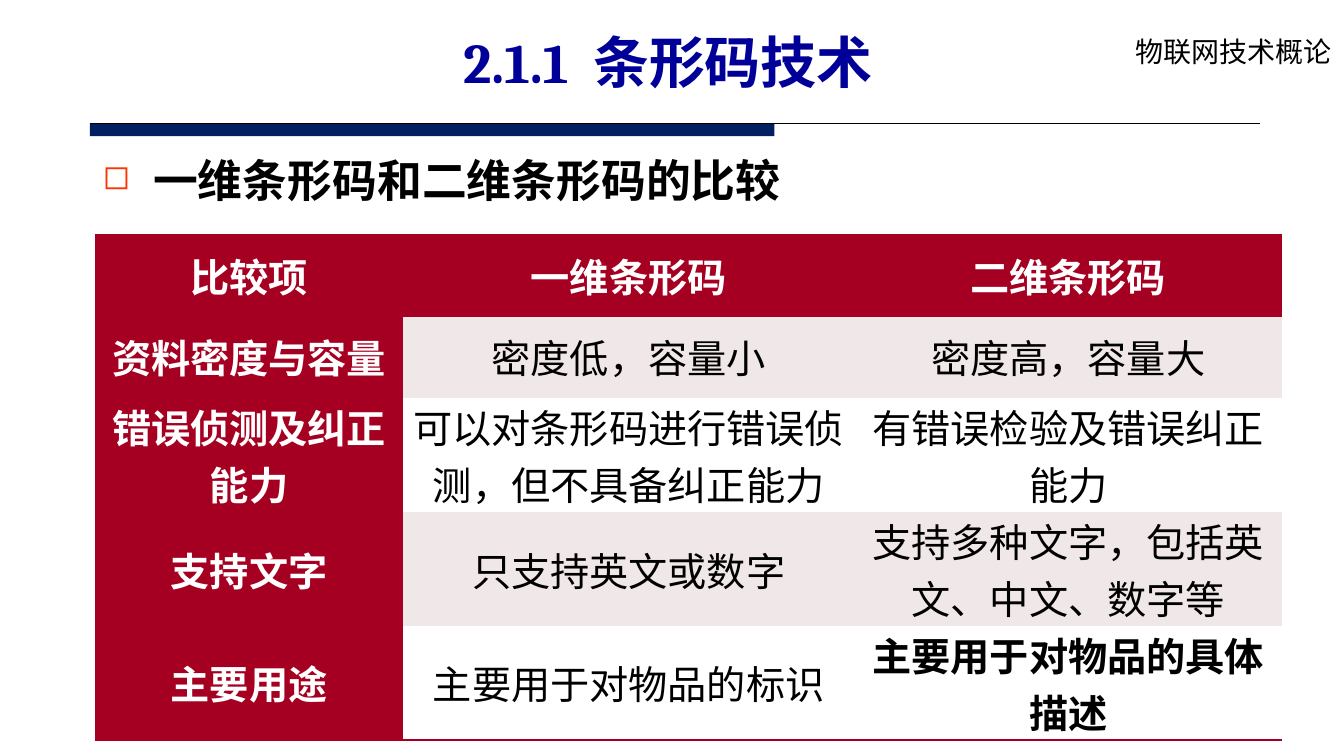
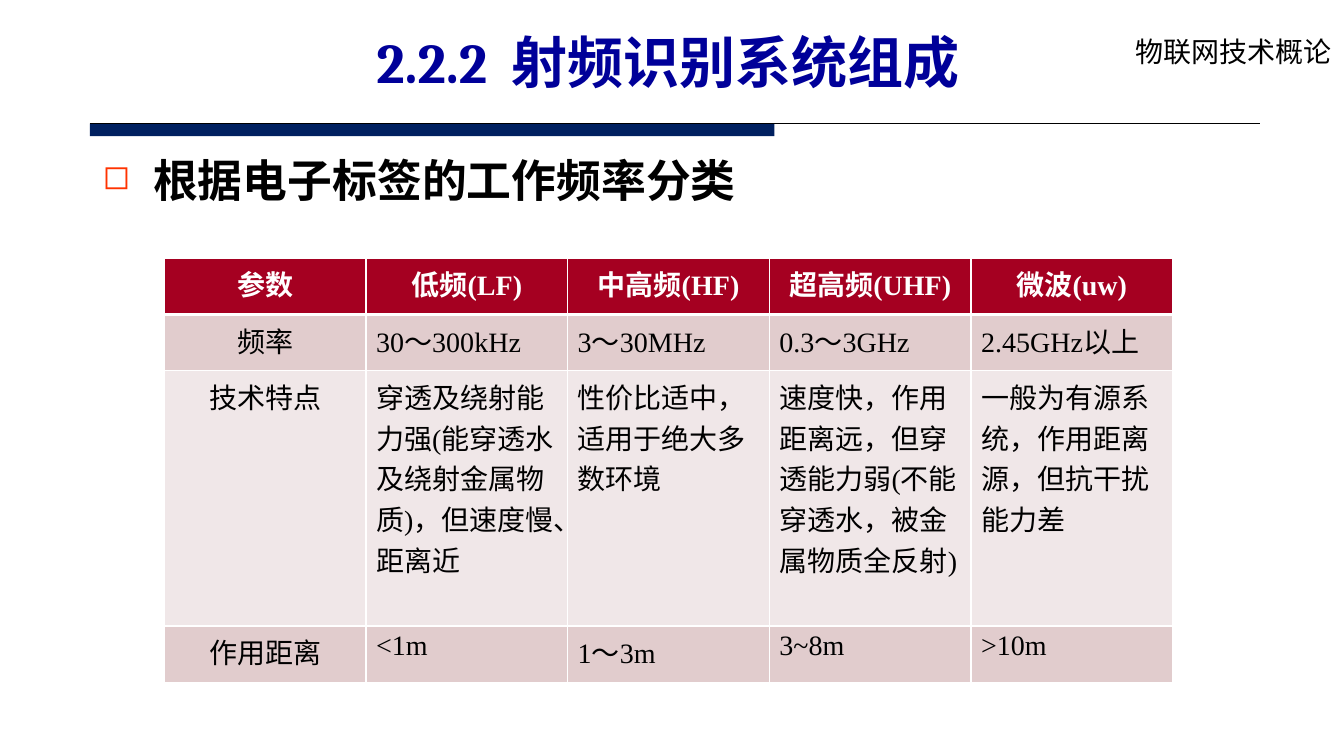
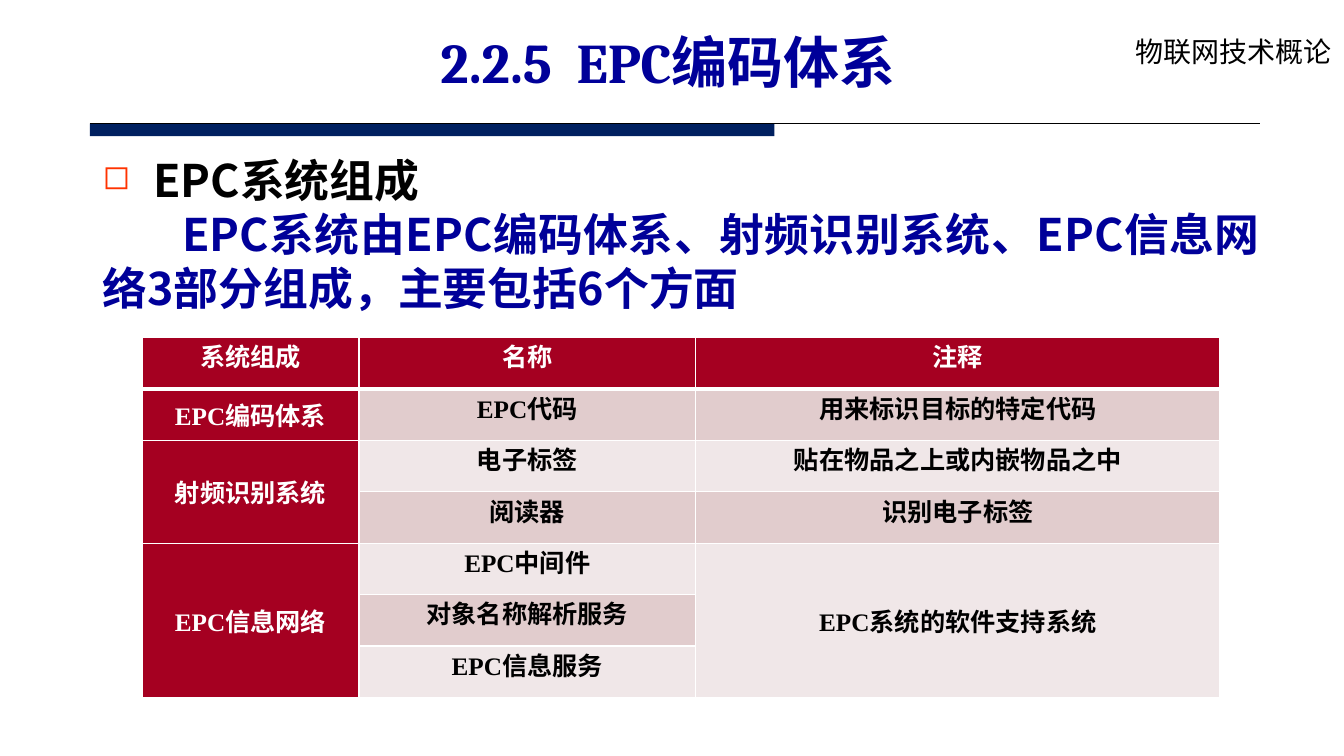
from dataclasses import dataclass

from lxml import etree
from pptx import Presentation
from pptx import util as u
from pptx.dml.color import RGBColor
from pptx.enum import lang, shapes, text
from pptx.oxml import ns

PX = 9144  # 100 px to the inch
COLORS = {
    "title": "000099", "bar": "002060", "ink": "000000", "white": "FFFFFF",
    "bullet": "FF3300", "crimson": "A50021", "rose": "E1CCCD", "pale": "F0E7E8",
}
CJK, SERIF, TITLE_FONT, COURSE_FONT = (
    "Noto Sans CJK SC", "Times New Roman", "Cambria", "Noto Sans CJK JP")
NO_GRID_STYLE = "{2D5ABB26-0587-4C30-8999-92F81FD0307C}"
CENTER, LEFT = text.PP_ALIGN.CENTER, text.PP_ALIGN.LEFT
MIDDLE, TOP = text.MSO_ANCHOR.MIDDLE, text.MSO_ANCHOR.TOP


@dataclass
class TableLook:
    size: int
    bands: tuple
    insets: tuple = (7, 0)
    key_column: bool = True     # first column coloured like the header
    bold_body: bool = False
    bold_cells: tuple = ()
    body_align: text.PP_ALIGN = CENTER
    anchor: text.MSO_ANCHOR = TOP
    grid: bool = True           # white grid, or crimson rules above and below


# ---- helpers ----
def px(n):
    return u.Emu(n * PX)


def rgb(name):
    return RGBColor.from_string(COLORS[name])


def sub(parent, tag, **attrs):
    return etree.SubElement(parent, ns.qn(tag), attrs)


def add_run(paragraph, words, size, color, latin=CJK, east=CJK, bold=False):
    run = paragraph.add_run()
    run.text = words
    font = run.font
    font.size, font.bold, font.name = u.Pt(size), bold, latin
    font.color.rgb = rgb(color)
    font.language_id = lang.MSO_LANGUAGE_ID.SIMPLIFIED_CHINESE
    sub(font._element, "a:ea", typeface=east)


def add_textbox(slide, x, y, w, h):
    frame = slide.shapes.add_textbox(px(x), px(y), px(w), px(h)).text_frame
    frame.word_wrap = True
    return frame


# ---- parts every slide has ----
def add_frame(slide):
    bar = slide.shapes.add_shape(
        shapes.MSO_SHAPE.RECTANGLE, px(89), px(123), px(679), px(12))
    bar.shadow.inherit = False
    bar.fill.solid()
    bar.fill.fore_color.rgb = rgb("bar")
    bar.line.fill.background()

    rule = slide.shapes.add_connector(
        shapes.MSO_CONNECTOR.STRAIGHT, px(89), px(123), px(1250), px(123))
    rule.line.color.rgb = rgb("ink")
    rule.line.width = u.Pt(0.75)
    sub(rule._element.spPr, "a:effectLst")

    course = add_textbox(slide, 1097, 29, 236, 47)
    course.word_wrap = False
    course.margin_left = px(29)
    add_run(course.paragraphs[0], "物联网技术概论", 20, "ink", COURSE_FONT, COURSE_FONT)


def add_title(slide, words):
    title = slide.shapes.title
    title.left, title.top, title.width, title.height = map(px, (186, 36, 953, 71))
    frame = title.text_frame
    frame.word_wrap, frame.auto_size = True, text.MSO_AUTO_SIZE.NONE
    frame.vertical_anchor = MIDDLE
    frame.margin_bottom = px(13)
    heading = frame.paragraphs[0]
    heading.alignment, heading.line_spacing = CENTER, u.Pt(38)
    add_run(heading, words, 40, "title", TITLE_FONT, bold=True)


def add_topic(slide, words, detail=None):
    frame = add_textbox(slide, 92, 147, 1167, 180 if detail else 72)
    topic = frame.paragraphs[0]
    props = topic._p.get_or_add_pPr()
    props.set("marL", str(px(50)))
    props.set("indent", str(px(-50)))
    sub(sub(props, "a:buClr"), "a:srgbClr", val=COLORS["bullet"])
    sub(props, "a:buSzPct", val="75000")
    sub(props, "a:buChar", char="◻")
    add_run(topic, words, 32, "ink", bold=True)
    if detail:
        body = frame.add_paragraph()
        body.alignment = text.PP_ALIGN.JUSTIFY
        body._p.get_or_add_pPr().set("indent", str(px(79)))
        add_run(body, detail, 32, "title", bold=True)


def start_slide(prs, title, topic, detail=None):
    slide = prs.slides.add_slide(prs.slide_layouts[5])
    add_frame(slide)
    add_topic(slide, topic, detail)
    add_title(slide, title)
    return slide


# ---- tables ----
def set_borders(cell, edges):
    props = cell._tc.get_or_add_tcPr()
    for side in "LRTB":
        if side in edges:
            color, points = edges[side]
            line = sub(props, f"a:ln{side}", w=str(u.Pt(points)))
            sub(sub(line, "a:solidFill"), "a:srgbClr", val=COLORS[color])


def cell_edges(look, row, last_row):
    if look.grid:
        edges = {side: ("white", 1) for side in "LRTB"}
        if row == 0:
            edges["B"] = ("white", 3)
        elif row == 1:
            edges["T"] = ("white", 3)
        return edges
    edges = {}
    if row == 0:
        edges = {"T": ("crimson", 2), "B": ("crimson", 2)}
    elif row == last_row:
        edges = {"B": ("crimson", 2)}
    return edges


def add_table(slide, x, y, widths, heights, rows, look):
    """A None in rows joins that cell to the one above it."""
    table = slide.shapes.add_table(
        len(rows), len(widths), px(x), px(y), px(sum(widths)), px(sum(heights))).table
    props = table._tbl.tblPr
    props.find(ns.qn("a:tableStyleId")).text = NO_GRID_STYLE
    table.first_row = table.horz_banding = False
    for column, width in zip(table.columns, widths):
        column.width = px(width)
    for table_row, height in zip(table.rows, heights):
        table_row.height = px(height)

    for r, row in enumerate(rows):
        for c, words in enumerate(row):
            cell = table.cell(r, c)
            header = r == 0 or (look.key_column and c == 0)
            set_borders(cell, cell_edges(look, r, len(rows) - 1))
            cell.fill.solid()
            cell.fill.fore_color.rgb = rgb(
                "crimson" if header else look.bands[(r - 1) % len(look.bands)])
            cell.margin_left = cell.margin_right = px(look.insets[0])
            cell.margin_top = cell.margin_bottom = px(look.insets[1])
            if words is None:
                continue
            end = r
            while end + 1 < len(rows) and rows[end + 1][c] is None:
                end += 1
            if end > r:
                cell.merge(table.cell(end, c))
            key = look.key_column and c == 0 and r > 0
            cell.vertical_anchor = MIDDLE if key or end > r else look.anchor
            paragraph = cell.text_frame.paragraphs[0]
            paragraph.alignment = CENTER if r == 0 or c == 0 else look.body_align
            bold = header or look.bold_body or (r, c) in look.bold_cells
            add_run(paragraph, words, look.size, "white" if header else "ink",
                    SERIF, bold=bold)


# ---- slides ----
def barcode_slide(prs):
    slide = start_slide(prs, "2.1.1  条形码技术", "一维条形码和二维条形码的比较")
    rows = [
        ("比较项", "一维条形码", "二维条形码"),
        ("资料密度与容量", "密度低，容量小", "密度高，容量大"),
        ("错误侦测及纠正能力", "可以对条形码进行错误侦测，但不具备纠正能力",
         "有错误检验及错误纠正能力"),
        ("支持文字", "只支持英文或数字", "支持多种文字，包括英文、中文、数字等"),
        ("主要用途", "主要用于对物品的标识", "主要用于对物品的具体描述"),
    ]
    look = TableLook(28, ("pale", "white"), anchor=MIDDLE, grid=False,
                     bold_cells=((4, 2),))
    add_table(slide, 94, 233, (306, 447, 425), (80, 82) + (113,) * 3, rows, look)


def frequency_slide(prs):
    slide = start_slide(prs, "2.2.2  射频识别系统组成", "根据电子标签的工作频率分类")
    rows = [
        ("参数", "低频(LF)", "中高频(HF)", "超高频(UHF)", "微波(uw)"),
        ("频率", "30～300kHz", "3～30MHz", "0.3～3GHz", "2.45GHz以上"),
        ("技术特点",
         "穿透及绕射能力强(能穿透水及绕射金属物质)，但速度慢、距离近",
         "性价比适中，适用于绝大多数环境",
         "速度快，作用距离远，但穿透能力弱(不能穿透水，被金属物质全反射)",
         "一般为有源系统，作用距离源，但抗干扰能力差"),
        ("作用距离", "<1m", "1～3m", "3~8m", ">10m"),
    ]
    look = TableLook(20, ("rose", "pale"), insets=(10, 5), key_column=False,
                     body_align=LEFT)
    add_table(slide, 163, 256, (200,) * 5, (56, 56, 253, 56), rows, look)


def epc_slide(prs):
    slide = start_slide(
        prs, "2.2.5  EPC编码体系", "EPC系统组成",
        "EPC系统由EPC编码体系、射频识别系统、EPC信息网络3部分组成，主要包括6个方面")
    rows = [
        ("系统组成", "名称", "注释"),
        ("EPC编码体系", "EPC代码", "用来标识目标的特定代码"),
        ("射频识别系统", "电子标签", "贴在物品之上或内嵌物品之中"),
        (None, "阅读器", "识别电子标签"),
        ("EPC信息网络", "EPC中间件", "EPC系统的软件支持系统"),
        (None, "对象名称解析服务", None),
        (None, "EPC信息服务", None),
    ]
    look = TableLook(18, ("rose", "pale"), bold_body=True)
    add_table(slide, 141, 335, (215, 334, 520), (51,) * 7, rows, look)


def main():
    prs = Presentation()
    prs.slide_width, prs.slide_height = px(1333), px(750)
    barcode_slide(prs)
    frequency_slide(prs)
    epc_slide(prs)
    prs.save("out.pptx")


if __name__ == "__main__":
    main()
